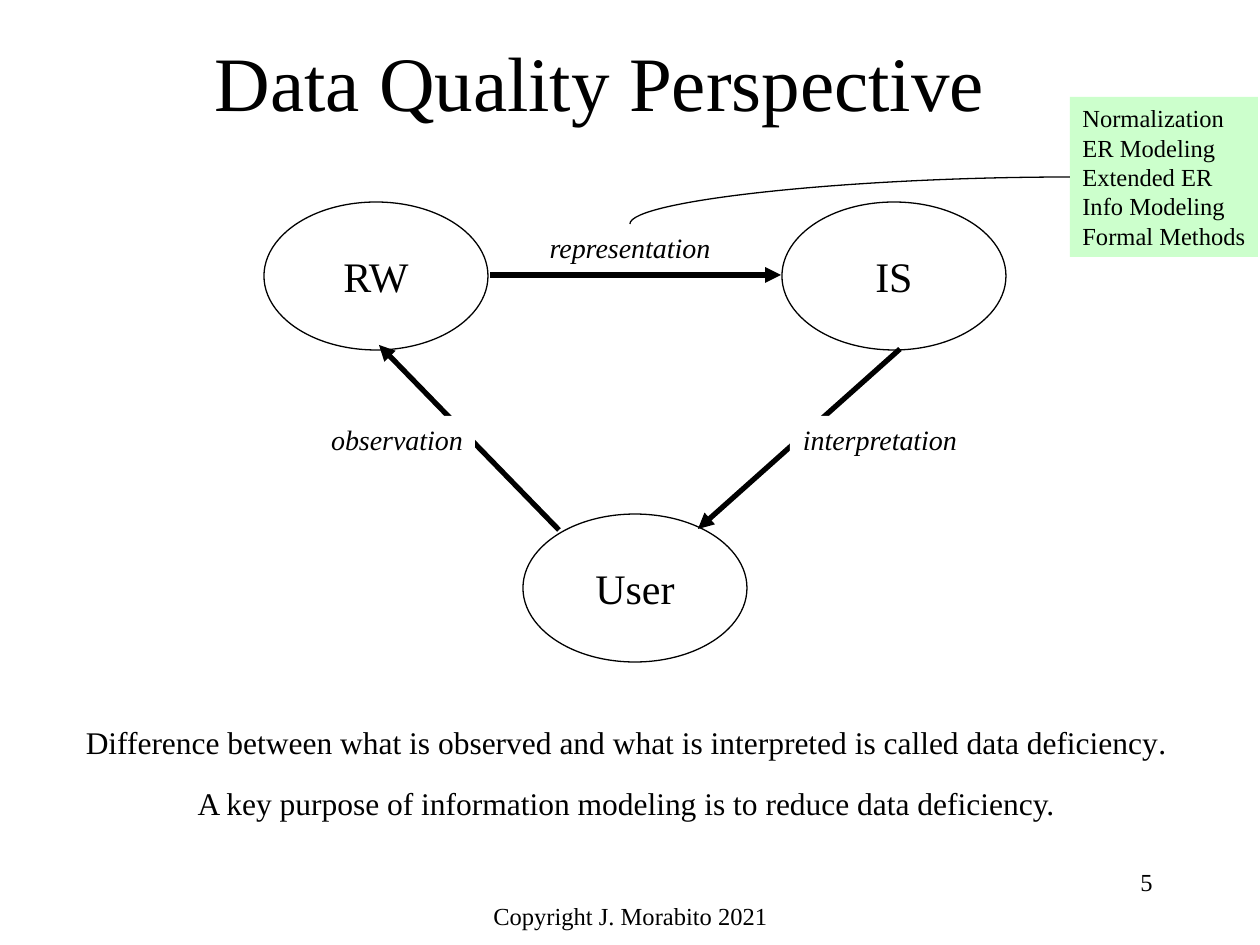
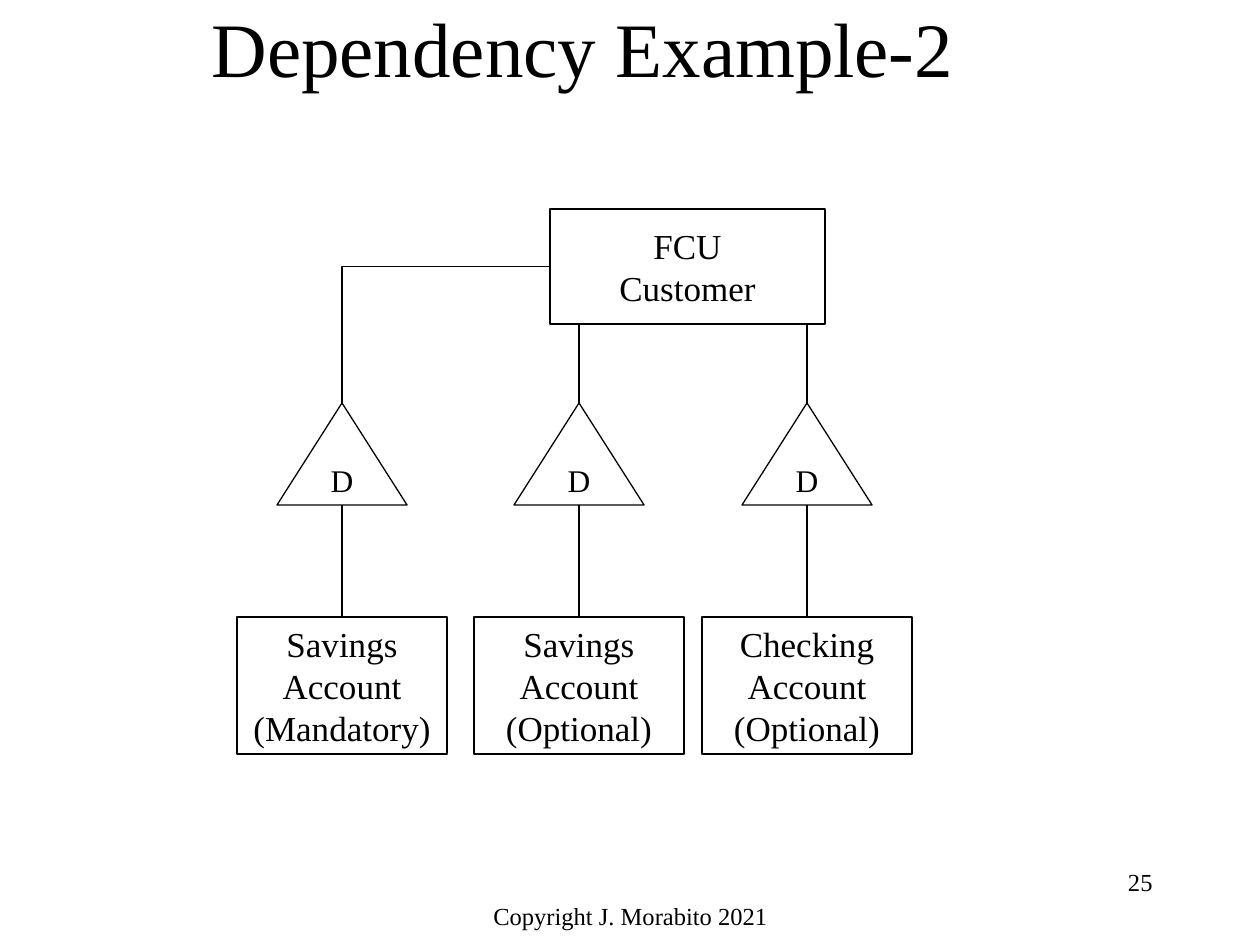
from dataclasses import dataclass
from typing import Optional

import pptx
import pptx.dml.color
import pptx.enum.shapes
import pptx.enum.text
import pptx.oxml.ns
import pptx.oxml.xmlchemy
import pptx.presentation
import pptx.shapes.autoshape
import pptx.shapes.base
import pptx.shapes.connector
import pptx.slide
import pptx.text.text
import pptx.util

RGBColor = pptx.dml.color.RGBColor
Align = pptx.enum.text.PP_ALIGN
Anchor = pptx.enum.text.MSO_ANCHOR
Shape = pptx.enum.shapes.MSO_SHAPE
Link = pptx.enum.shapes.MSO_CONNECTOR

BLACK = RGBColor(0, 0, 0)
WHITE = RGBColor(255, 255, 255)
MINT = RGBColor(204, 255, 204)
FONT = "Times New Roman"
COPYRIGHT = "Copyright J. Morabito 2021"
EMU_PER_PX = 914400 / 126
THIN, THICK = 0.75, 3
TOP, LEFT = 0, 1


@dataclass(frozen=True)
class Box:
    left: int
    top: int
    width: int
    height: int


@dataclass(frozen=True)
class Run:
    text: str
    italic: bool = False


@dataclass(frozen=True)
class Style:
    size: int
    align: Align = Align.CENTER
    anchor: Anchor = Anchor.TOP
    wrap: bool = False
    gap: int = 0


@dataclass(frozen=True)
class Flow:
    start: tuple[int, int]
    end: tuple[int, int]


@dataclass(frozen=True)
class Dependency:
    axis: int
    account: tuple[str, ...]


Lines = list[list[Run]]

NODE = Style(24, anchor=Anchor.MIDDLE)
ENTITY = Style(20, anchor=Anchor.MIDDLE)
MARK = Style(18, anchor=Anchor.MIDDLE)
FLOW_LABEL = Style(16)
STATEMENT = Style(18, wrap=True, gap=13)
METHODS = Style(14, Align.LEFT)
FOOTER = Style(14, wrap=True)
PAGE_NUMBER = Style(14, Align.RIGHT, wrap=True)
TITLE = Style(44, Align.LEFT, Anchor.MIDDLE, wrap=True)

NODES = {
    "RW": Box(264, 202, 224, 148),
    "User": Box(523, 514, 224, 148),
    "IS": Box(782, 202, 224, 148),
}
FLOWS = [
    Flow((490, 275), (781, 275)),
    Flow((900, 349), (698, 529)),
    Flow((559, 530), (379, 345)),
]
COVERING_LABELS = {
    "interpretation": Box(790, 416, 180, 47),
    "observation": Box(319, 416, 156, 47),
}
DEPENDENCIES = [
    Dependency(342, ("Savings", "Account", "(Mandatory)")),
    Dependency(579, ("Savings", "Account", "(Optional)")),
    Dependency(807, ("Checking", "Account", "(Optional)")),
]


def px(value: int) -> pptx.util.Emu:
    return pptx.util.Emu(round(value * EMU_PER_PX))


def frame(box: Box) -> tuple[pptx.util.Emu, ...]:
    return px(box.left), px(box.top), px(box.width), px(box.height)


def plain(*texts: str) -> Lines:
    return [[Run(text)] for text in texts]


def write(text_frame: pptx.text.text.TextFrame, lines: Lines, style: Style) -> None:
    text_frame.word_wrap = style.wrap
    text_frame.auto_size = pptx.enum.text.MSO_AUTO_SIZE.NONE
    text_frame.vertical_anchor = style.anchor
    for index, line in enumerate(lines):
        paragraph = text_frame.add_paragraph() if index else text_frame.paragraphs[0]
        paragraph.alignment = style.align
        if index:
            paragraph.space_before = pptx.util.Pt(style.gap)
        for part in line:
            run = paragraph.add_run()
            run.text = part.text
            run.font.name = FONT
            run.font.size = pptx.util.Pt(style.size)
            run.font.italic = part.italic
            run.font.color.rgb = BLACK


def add_text(
    slide: pptx.slide.Slide, box: Box, lines: Lines, style: Style
) -> pptx.shapes.autoshape.Shape:
    text = slide.shapes.add_textbox(*frame(box))
    write(text.text_frame, lines, style)
    return text


def add_figure(
    slide: pptx.slide.Slide,
    kind: Shape,
    box: Box,
    lines: Lines,
    style: Style,
    fill: Optional[RGBColor] = None,
) -> pptx.shapes.autoshape.Shape:
    figure = slide.shapes.add_shape(kind, *frame(box))
    figure.shadow.inherit = False
    if fill is None:
        figure.fill.background()
        figure.line.color.rgb = BLACK
        figure.line.width = pptx.util.Pt(THIN)
    else:
        figure.fill.solid()
        figure.fill.fore_color.rgb = fill
        figure.line.fill.background()
    write(figure.text_frame, lines, style)
    return figure


def add_link(
    slide: pptx.slide.Slide,
    flow: Flow,
    kind: Link = Link.STRAIGHT,
    width: float = THIN,
    arrow: bool = False,
) -> pptx.shapes.connector.Connector:
    link = slide.shapes.add_connector(
        kind, *(px(value) for value in flow.start + flow.end)
    )
    link.line.color.rgb = BLACK
    link.line.width = pptx.util.Pt(width)
    properties = link._element.spPr
    if arrow:
        head = pptx.oxml.xmlchemy.OxmlElement("a:tailEnd")
        head.set("type", "triangle")
        properties.find(pptx.oxml.ns.qn("a:ln")).append(head)
    properties.append(pptx.oxml.xmlchemy.OxmlElement("a:effectLst"))
    return link


def add_corner_link(
    slide: pptx.slide.Slide,
    flow: Flow,
    kind: Link,
    preset: str,
    source: pptx.shapes.base.BaseShape,
    target: pptx.shapes.base.BaseShape,
) -> None:
    link = add_link(slide, flow, kind)
    link._element.spPr.find(pptx.oxml.ns.qn("a:prstGeom")).set("prst", preset)
    link.begin_connect(source, LEFT)
    link.end_connect(target, TOP)


def add_page(
    deck: pptx.presentation.Presentation, title: str, title_box: Box, number: int
) -> pptx.slide.Slide:
    slide = deck.slides.add_slide(deck.slide_layouts.get_by_name("Title Only"))
    heading = slide.shapes.title
    heading.left, heading.top, heading.width, heading.height = frame(title_box)
    write(heading.text_frame, plain(title), TITLE)
    add_text(slide, Box(431, 895, 399, 45), plain(COPYRIGHT), FOOTER)
    add_text(slide, Box(903, 861, 262, 63), plain(str(number)), PAGE_NUMBER)
    return slide


def build_perspective(deck: pptx.presentation.Presentation) -> None:
    slide = add_page(deck, "Data Quality Perspective", Box(202, 13, 903, 135), 5)
    for name, box in NODES.items():
        add_figure(slide, Shape.OVAL, box, plain(name), NODE)
    for flow in FLOWS:
        add_link(slide, flow, width=THICK, arrow=True)
    representation = add_text(
        slide, Box(536, 224, 188, 47), [[Run("representation", True)]], FLOW_LABEL
    )
    for name, box in COVERING_LABELS.items():
        add_figure(
            slide, Shape.RECTANGLE, box, [[Run(name, True)]], FLOW_LABEL, WHITE
        )
    deficiency = (
        "Difference between what is observed and what is interpreted "
        "is called data deficiency"
    )
    purpose = "A key purpose of information modeling is to reduce data deficiency."
    add_text(
        slide,
        Box(15, 717, 1223, 110),
        [[Run(deficiency), Run(".", True)], [Run(purpose)]],
        STATEMENT,
    )
    methods = add_figure(
        slide,
        Shape.RECTANGLE,
        Box(1070, 97, 188, 160),
        plain(
            "Normalization",
            "ER Modeling",
            "Extended ER",
            "Info Modeling",
            "Formal Methods",
        ),
        METHODS,
        MINT,
    )
    add_corner_link(
        slide,
        Flow((1070, 177), (630, 224)),
        Link.CURVE,
        "curvedConnector2",
        methods,
        representation,
    )


def build_dependency(deck: pptx.presentation.Presentation) -> None:
    slide = add_page(deck, "Dependency Example-2", Box(199, 10, 1061, 73), 25)
    customer_box = Box(550, 209, 275, 115)
    customer_bottom = customer_box.top + customer_box.height
    customer_middle = customer_box.top + customer_box.height // 2
    customer = add_figure(
        slide, Shape.RECTANGLE, customer_box, plain("FCU", "Customer"), ENTITY
    )
    for dependency in DEPENDENCIES:
        axis = dependency.axis
        mark_box = Box(axis - 65, 403, 130, 102)
        account_box = Box(axis - 105, 617, 210, 137)
        mark_bottom = mark_box.top + mark_box.height
        mark = add_figure(
            slide, Shape.ISOSCELES_TRIANGLE, mark_box, plain("D"), MARK
        )
        account = add_figure(
            slide, Shape.RECTANGLE, account_box, plain(*dependency.account), ENTITY
        )
        lower = add_link(slide, Flow((axis, account_box.top), (axis, mark_bottom)))
        lower.begin_connect(account, TOP)
        if axis < customer_box.left:
            add_corner_link(
                slide,
                Flow((customer_box.left, customer_middle), (axis, mark_box.top)),
                Link.ELBOW,
                "bentConnector2",
                customer,
                mark,
            )
        else:
            upper = add_link(
                slide, Flow((axis, mark_box.top), (axis, customer_bottom))
            )
            upper.begin_connect(mark, TOP)


def main() -> None:
    deck = pptx.Presentation()
    deck.slide_width, deck.slide_height = px(1260), px(945)
    build_perspective(deck)
    build_dependency(deck)
    deck.save("out.pptx")


if __name__ == "__main__":
    main()
